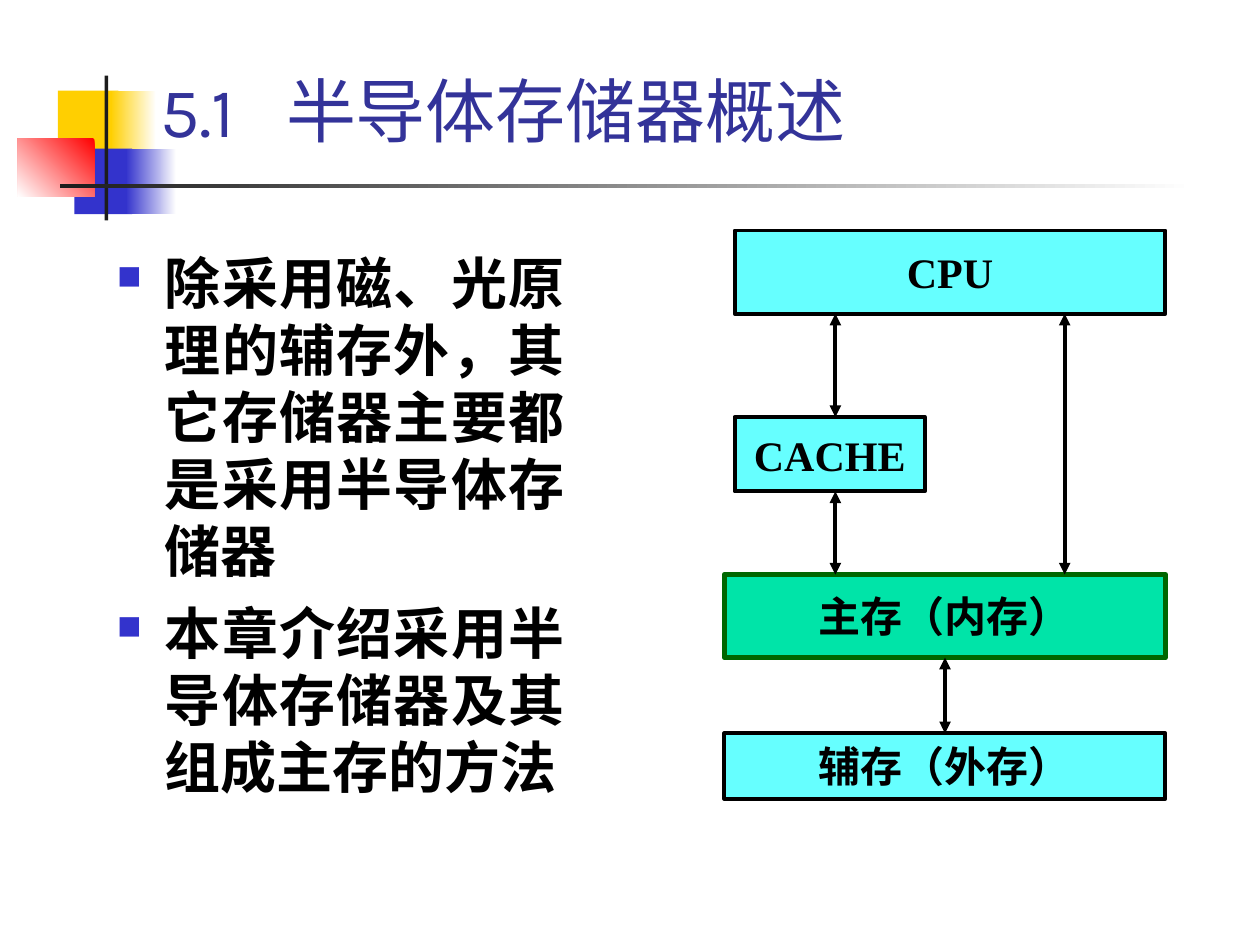
import pptx
import pptx.util
import pptx.dml.color
import pptx.enum.shapes
import pptx.enum.text
import pptx.oxml.ns
import lxml.etree

RGBColor = pptx.dml.color.RGBColor
Inches = pptx.util.Inches
Pt = pptx.util.Pt
ALIGN = pptx.enum.text.PP_ALIGN
ANCHOR = pptx.enum.text.MSO_ANCHOR
RECT = pptx.enum.shapes.MSO_SHAPE.RECTANGLE

WHITE = RGBColor(0xFF, 0xFF, 0xFF)
BLACK = RGBColor(0x00, 0x00, 0x00)
DARK = RGBColor(0x1C, 0x1C, 0x1C)
YELLOW = RGBColor(0xFF, 0xCF, 0x01)
BLUE = RGBColor(0x33, 0x33, 0xCC)
RED = RGBColor(0xFF, 0x00, 0x00)
TITLE_BLUE = RGBColor(0x33, 0x33, 0x99)
CYAN = RGBColor(0x66, 0xFF, 0xFF)
GREEN = RGBColor(0x00, 0xE4, 0xA8)
DARK_GREEN = RGBColor(0x00, 0x66, 0x00)

TITLE = "5.1\t半导体存储器概述"
POINTS = [
    "除采用磁、光原理的辅存外，其它存储器主要都是采用半导体存储器",
    "本章介绍采用半导体存储器及其组成主存的方法",
]
DECOR = [
    ((0.46, 0.72, 0.48, 0.52), (YELLOW,), 0),
    ((0.88, 0.72, 0.36, 0.52), (WHITE, YELLOW), 180),
    ((0.59, 1.18, 0.46, 0.52), (BLUE,), 0),
    ((1.0, 1.18, 0.4, 0.52), (WHITE, BLUE), 180),
    ((0.14, 1.1, 0.61, 0.46), (RED, WHITE), 225),
    ((0.83, 0.6, 0.03, 1.15), (DARK,), 0),
    ((0.48, 1.46, 9, 0.03), (WHITE, DARK), 180),
]
RIGHT = 9.25
LEVELS = {
    "CPU": (5.83, 1.83, RIGHT - 5.83, 0.66, CYAN, BLACK, 2.25),
    "CACHE": (5.83, 3.31, 1.51, 0.59, CYAN, BLACK, 2.25),
    "主存（内存）": (5.75, 4.56, RIGHT - 5.75, 0.66, GREEN, DARK_GREEN, 3),
    "辅存（外存）": (5.75, 5.82, RIGHT - 5.75, 0.52, CYAN, BLACK, 2.25),
}
LINKS = [
    ("CPU", "CACHE", 6.63),
    ("CACHE", "主存（内存）", 6.63),
    ("主存（内存）", "辅存（外存）", 7.5),
    ("CPU", "主存（内存）", 8.45),
]


def add_xml(parent, tag, **attrs):
    return lxml.etree.SubElement(parent, pptx.oxml.ns.qn(tag), attrs)


def write(p, text, size, color, font="Karla", bold=False, align=ALIGN.LEFT):
    p.alignment = align
    r = p.add_run()
    r.text = text
    r.font.size = Pt(size)
    r.font.name = font
    r.font.bold = bold
    r.font.color.rgb = color


def add_rect(s, box, colors, angle=0):
    sp = s.shapes.add_shape(RECT, *map(Inches, box))
    sp.shadow.inherit = False
    sp.line.fill.background()
    if len(colors) == 1:
        sp.fill.solid()
        sp.fill.fore_color.rgb = colors[0]
    else:
        sp.fill.gradient()
        sp.fill.gradient_angle = angle
        for stop, color, position in zip(sp.fill.gradient_stops, colors, (0, 1)):
            stop.color.rgb = color
            stop.position = position
    return sp


def add_title(s):
    sp = s.shapes.title
    s.shapes.element.append(sp.element)
    sp.left, sp.top, sp.width, sp.height = map(Inches, (1.17, 0.33, 8.52, 0.92))
    tf = sp.text_frame
    tf.auto_size = pptx.enum.text.MSO_AUTO_SIZE.NONE
    tf.vertical_anchor = ANCHOR.BOTTOM
    p = tf.paragraphs[0]
    tabs = add_xml(p._p.get_or_add_pPr(), "a:tabLst")
    add_xml(tabs, "a:tab", pos=str(Inches(1)), algn="l")
    write(p, TITLE, 40, TITLE_BLUE)


def add_points(s):
    tf = s.shapes.add_textbox(*map(Inches, (0.83, 1.92, 3.75, 4.83))).text_frame
    tf.word_wrap = True
    for i, text in enumerate(POINTS):
        p = tf.add_paragraph() if i else tf.paragraphs[0]
        if i:
            p.space_before = Pt(8)
        props = p._p.get_or_add_pPr()
        props.set("marL", str(Inches(0.38)))
        props.set("indent", str(-Inches(0.38)))
        add_xml(add_xml(props, "a:buClr"), "a:srgbClr", val=str(BLUE))
        add_xml(props, "a:buSzPct", val="60000")
        add_xml(props, "a:buChar", char="■")
        write(p, text, 32, BLACK, bold=True, align=ALIGN.JUSTIFY)


def add_level(s, name):
    *box, fill, edge, width = LEVELS[name]
    sp = add_rect(s, box, (fill,))
    sp.line.color.rgb = edge
    sp.line.width = Pt(width)
    tf = sp.text_frame
    tf.word_wrap = False
    tf.vertical_anchor = ANCHOR.MIDDLE
    write(tf.paragraphs[0], name, 24, BLACK,
          font="Times New Roman", bold=True, align=ALIGN.CENTER)


def add_link(s, upper, lower, x):
    start = LEVELS[upper][1] + LEVELS[upper][3]
    end = LEVELS[lower][1]
    line = s.shapes.add_connector(pptx.enum.shapes.MSO_CONNECTOR.STRAIGHT,
                                  *map(Inches, (x, start, x, end)))
    line.line.color.rgb = BLACK
    line.line.width = Pt(2.25)
    ln = line.line._get_or_add_ln()
    for tag in ("a:headEnd", "a:tailEnd"):
        add_xml(ln, tag, type="triangle")
    add_xml(line._element.spPr, "a:effectLst")


def main():
    prs = pptx.Presentation()
    prs.slide_width, prs.slide_height = Inches(10), Inches(7.5)
    s = prs.slides.add_slide(prs.slide_layouts[5])
    for box, colors, angle in DECOR:
        add_rect(s, box, colors, angle)
    add_title(s)
    add_points(s)
    for name in LEVELS:
        add_level(s, name)
    for link in LINKS:
        add_link(s, *link)
    prs.save("out.pptx")


if __name__ == "__main__":
    main()
